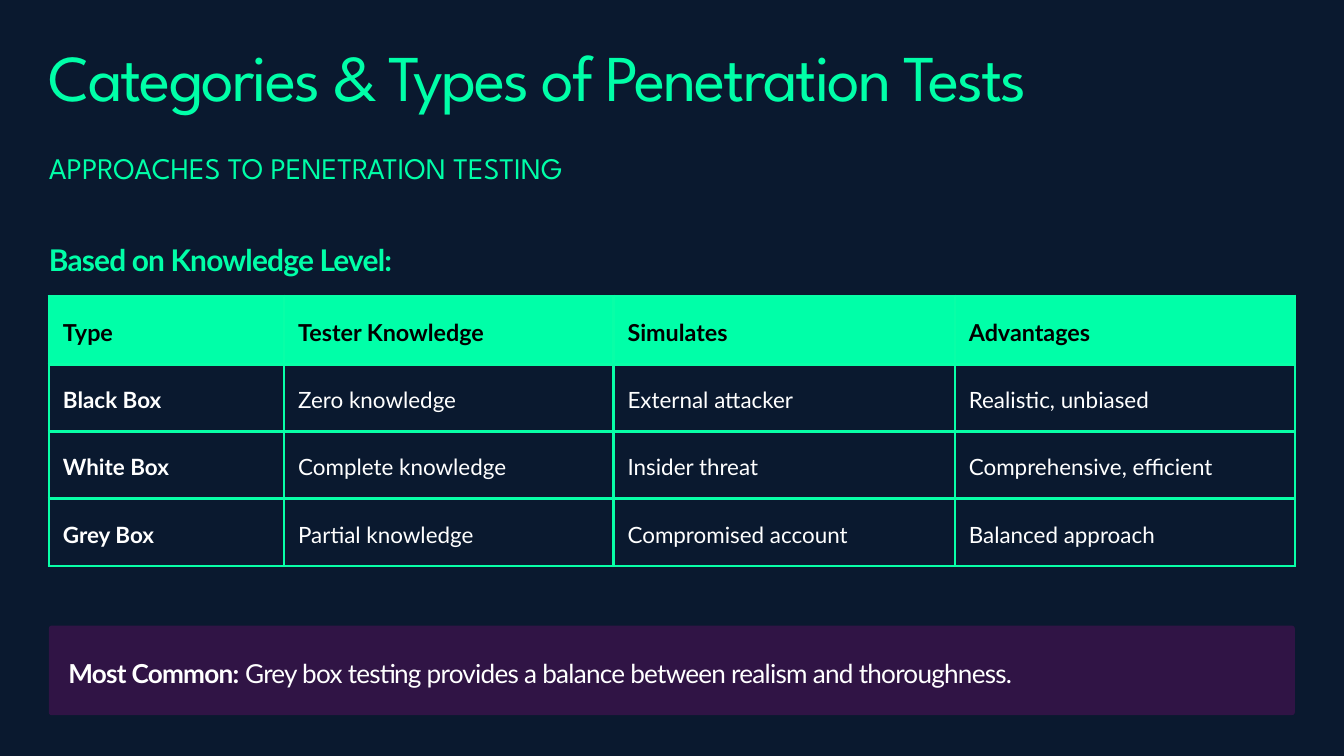
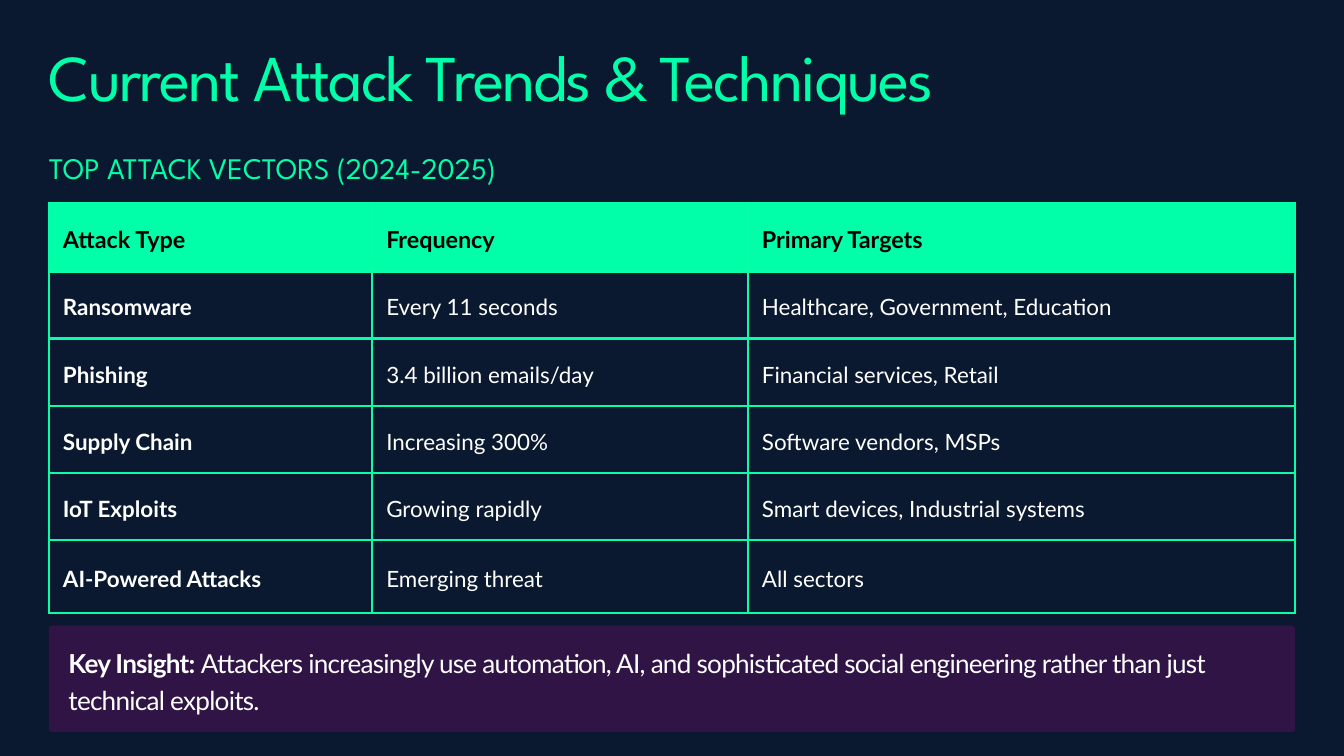
from lxml.etree import SubElement
from pptx import Presentation
from pptx.dml.color import RGBColor
from pptx.enum.shapes import MSO_SHAPE
from pptx.enum.text import MSO_ANCHOR
from pptx.oxml.ns import qn
from pptx.util import Cm, Pt

COLORS = {
    "background": "0A192F",
    "accent": "00FFA8",
    "border": "08FFA7",
    "banner": "301445",
    "light": "FFFFFF",
    "dark": "000000",
}

# Text styles: font attributes, colour, line spacing and letter spacing in points
STYLES = {
    "title": {"font": {"name": "League Spartan", "size": Pt(70)},
              "color": "accent", "leading": 70, "tracking": -2.1},
    "subtitle": {"font": {"name": "League Spartan", "size": Pt(32)},
                 "color": "accent", "leading": 38.4, "tracking": 0},
    "heading": {"font": {"name": "Lato", "size": Pt(32), "bold": True},
                "color": "accent", "leading": 64, "tracking": -0.9},
    "banner": {"font": {"name": "Lato", "size": Pt(28)},
               "color": "light", "leading": 39.2, "tracking": -0.8},
    "header": {"font": {"name": "Lato", "size": Pt(25), "bold": True},
               "color": "dark", "leading": 35, "tracking": 0},
    "body": {"font": {"name": "Lato", "size": Pt(24)},
             "color": "light", "leading": 33.6, "tracking": 0},
}

MARGIN = 1.85
CONTENT_WIDTH = 47.09
BANNER_TOP = 23.65
CORNER_RADIUS = 0.1
HEADER_HEIGHT = 2.59
ROW_HEIGHT = 2.54

SLIDES = [
    {
        "title": "Categories & Types of Penetration Tests",
        "subtitle": "APPROACHES TO PENETRATION TESTING",
        "heading": "Based on Knowledge Level:",
        "table_top": 11.18,
        "column_widths": [8.89, 12.45, 12.9, 12.85],
        "last_row_height": ROW_HEIGHT,
        "rows": [
            ["Type", "Tester Knowledge", "Simulates", "Advantages"],
            ["Black Box", "Zero knowledge", "External attacker", "Realistic, unbiased"],
            ["White Box", "Complete knowledge", "Insider threat", "Comprehensive, efficient"],
            ["Grey Box", "Partial knowledge", "Compromised account", "Balanced approach"],
        ],
        "banner_height": 3.38,
        "banner": ["Most Common:",
                   " Grey box testing provides a balance between realism and thoroughness."],
    },
    {
        "title": "Current Attack Trends & Techniques",
        "subtitle": "TOP ATTACK VECTORS (2024-2025)",
        "heading": None,
        "table_top": 7.67,
        "column_widths": [12.22, 14.2, 20.67],
        "last_row_height": 2.74,
        "rows": [
            ["Attack Type", "Frequency", "Primary Targets"],
            ["Ransomware", "Every 11 seconds", "Healthcare, Government, Education"],
            ["Phishing", "3.4 billion emails/day", "Financial services, Retail"],
            ["Supply Chain", "Increasing 300%", "Software vendors, MSPs"],
            ["IoT Exploits", "Growing rapidly", "Smart devices, Industrial systems"],
            ["AI-Powered Attacks", "Emerging threat", "All sectors"],
        ],
        "banner_height": 4.01,
        "banner": ["Key Insight: ",
                   "Attackers increasingly use automation, AI, and sophisticated social "
                   "engineering rather than just technical exploits."],
    },
]


def write(text_frame, style_name, texts, bold_first=False):
    """Fill the first paragraph with one run per text in the named style."""
    style = STYLES[style_name]
    text_frame.word_wrap = True
    paragraph = text_frame.paragraphs[0]
    paragraph.line_spacing = Pt(style["leading"])
    for index, text in enumerate(texts):
        run = paragraph.add_run()
        run.text = text
        for attribute, value in style["font"].items():
            setattr(run.font, attribute, value)
        if bold_first:
            run.font.bold = index == 0
        run.font.color.rgb = RGBColor.from_string(COLORS[style["color"]])
        if style["tracking"]:
            run._r.get_or_add_rPr().set("spc", str(round(style["tracking"] * 100)))


def set_margins(target, size):
    for side in ("left", "top", "right", "bottom"):
        setattr(target, f"margin_{side}", Cm(size))


presentation = Presentation()
presentation.slide_width = Cm(50.8)
presentation.slide_height = Cm(28.575)

for content in SLIDES:
    slide = presentation.slides.add_slide(presentation.slide_layouts[6])
    slide.background.fill.solid()
    slide.background.fill.fore_color.rgb = RGBColor.from_string(COLORS["background"])

    # Table
    rows, widths = content["rows"], content["column_widths"]
    heights = [HEADER_HEIGHT] + [ROW_HEIGHT] * (len(rows) - 2) + [content["last_row_height"]]
    table = slide.shapes.add_table(
        len(rows), len(widths), Cm(MARGIN), Cm(content["table_top"]),
        Cm(CONTENT_WIDTH), Cm(sum(heights))).table
    table.horz_banding = False
    table.first_row = False
    for column, width in zip(table.columns, widths):
        column.width = Cm(width)
    for row_index, (row, height) in enumerate(zip(table.rows, heights)):
        row.height = Cm(height)
        for column_index, cell in enumerate(row.cells):
            is_header = row_index == 0
            set_margins(cell, 0.53)
            cell.vertical_anchor = MSO_ANCHOR.MIDDLE
            write(cell.text_frame, "header" if is_header else "body",
                  [rows[row_index][column_index]],
                  bold_first=is_header or column_index == 0)
            # Borders come before the fill in the cell properties
            properties = cell._tc.get_or_add_tcPr()
            for edge in ("lnL", "lnR", "lnT", "lnB"):
                line = SubElement(properties, qn(f"a:{edge}"), w=str(Pt(3)))
                fill = SubElement(line, qn("a:solidFill"))
                SubElement(fill, qn("a:srgbClr"), val=COLORS["border"])
            if is_header:
                cell.fill.solid()
                cell.fill.fore_color.rgb = RGBColor.from_string(COLORS["accent"])
            else:
                cell.fill.background()

    # Title, subtitle and table heading
    for name, top, width, height in (
        ("title", 1.85, CONTENT_WIDTH, 2.95),
        ("subtitle", 5.64, 33.73, 1.52),
        ("heading", 8.23, 19.94, 2.01),
    ):
        if content[name]:
            text_box = slide.shapes.add_textbox(Cm(MARGIN), Cm(top), Cm(width), Cm(height))
            set_margins(text_box.text_frame, 0)
            write(text_box.text_frame, name, [content[name]])

    # Takeaway banner
    banner = slide.shapes.add_shape(
        MSO_SHAPE.ROUNDED_RECTANGLE, Cm(MARGIN), Cm(BANNER_TOP),
        Cm(CONTENT_WIDTH), Cm(content["banner_height"]))
    banner.adjustments[0] = CORNER_RADIUS / content["banner_height"]
    banner.shadow.inherit = False
    banner.fill.solid()
    banner.fill.fore_color.rgb = RGBColor.from_string(COLORS["banner"])
    banner.line.fill.background()
    set_margins(banner.text_frame, 0.71)
    banner.text_frame.vertical_anchor = MSO_ANCHOR.MIDDLE
    write(banner.text_frame, "banner", content["banner"], bold_first=True)
    banner.text_frame.paragraphs[0].alignment = 1  # left

presentation.save("out.pptx")
